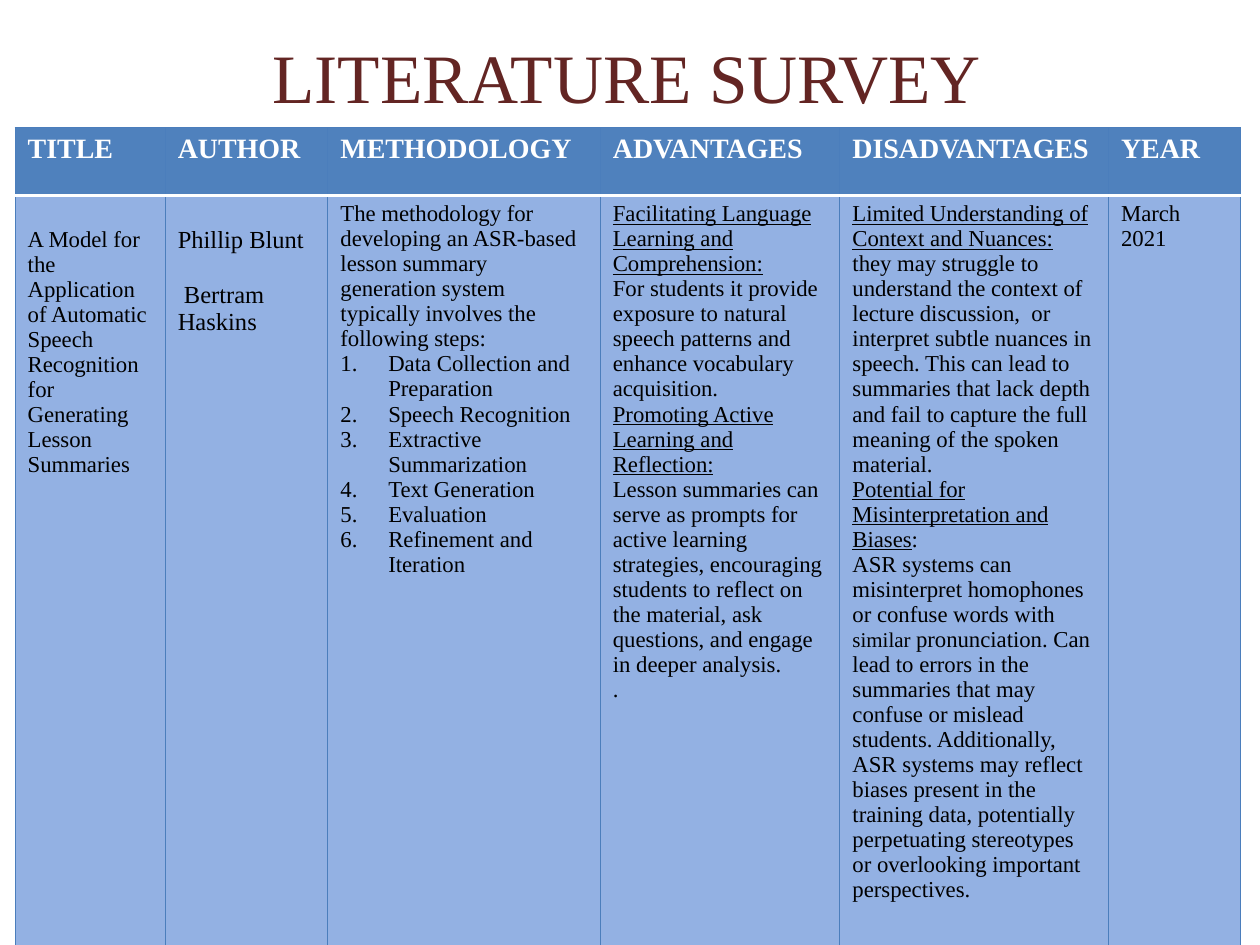
from lxml.etree import SubElement
from pptx import Presentation
from pptx.dml.color import RGBColor
from pptx.enum.text import MSO_ANCHOR, PP_ALIGN
from pptx.oxml.ns import qn
from pptx.util import Inches, Pt

WIDE, HIGH = Inches(10), Inches(7.5)
FACE = "Times New Roman"
BLUE, PALE, EDGE = "4F81BD", "93B1E3", "4B7EBC"
HEAD = {"size": Pt(16), "bold": True}
BODY = {"size": Pt(13), "bold": False}
NAME = {"size": Pt(14), "bold": False}
LINE = {"underline": True}
COLS = (0.119, 0.129, 0.216, 0.19, 0.213, 0.105)
ROWS = (0.072, 0.794)
HEADS = ("TITLE", "AUTHOR", "METHODOLOGY", "ADVANTAGES", "DISADVANTAGES", "YEAR")
TOPIC = ["A Model for the Application of Automatic Speech Recognition for Generating Lesson Summaries"]
NAMES = ["Phillip Blunt", " Bertram Haskins"]
INTRO = ("The methodology for developing an ASR-based lesson summary generation system "
         "typically involves the following steps:")
STEPS = ["Data Collection and Preparation", "Speech Recognition", "Extractive Summarization",
         "Text Generation", "Evaluation", "Refinement and Iteration"]
PROS = [
    [("Facilitating Language Learning and Comprehension:", LINE)],
    "For students it provide exposure to natural speech patterns and enhance vocabulary acquisition.",
    [("Promoting Active Learning and Reflection:", LINE)],
    "Lesson summaries can serve as prompts for active learning strategies, encouraging students "
    "to reflect on the material, ask questions, and engage in deeper analysis.",
    ".",
]
CONS = [
    [("Limited Understanding of Context and Nuances:", LINE)],
    "they may struggle to understand the context of lecture discussion,  or interpret subtle "
    "nuances in speech. This can lead to summaries that lack depth and fail to capture the full "
    "meaning of the spoken material.",
    [("Potential for Misinterpretation and Biases", LINE), (":", {})],
    [("ASR systems can misinterpret homophones or confuse words with ", {}),
     ("similar ", {"size": Pt(12)}),
     ("pronunciation. Can lead to errors in the summaries that may confuse or mislead students. "
      "Additionally, ASR systems may reflect biases present in the training data, potentially "
      "perpetuating stereotypes or overlooking important perspectives.", {})],
]


def tint(code):
    """Turn a hex string into a colour."""
    return RGBColor.from_string(code)


def write(para, runs, style, code):
    """Fill a paragraph with a string or a list of styled runs."""
    for text, extra in [(runs, {})] if isinstance(runs, str) else runs:
        run = para.add_run()
        run.text = text
        for key, value in {"name": FACE, **style, **extra}.items():
            setattr(run.font, key, value)
        run.font.color.rgb = tint(code)


def fill(cell, paras, style, code, back):
    """Write paragraphs into a cell and colour it."""
    cell.fill.solid()
    cell.fill.fore_color.rgb = tint(back)
    frame = cell.text_frame
    for index, runs in enumerate(paras):
        write(frame.add_paragraph() if index else frame.paragraphs[0], runs, style, code)


def rule(cell, sides):
    """Draw the cell borders given as side, colour and points."""
    props = cell._tc.get_or_add_tcPr()
    for index, (side, (code, size)) in enumerate(sides.items()):
        line = SubElement(props, qn(f"a:ln{side}"), w=str(Pt(size)))
        SubElement(SubElement(line, qn("a:solidFill")), qn("a:srgbClr"), val=code)
        props.insert(index, line)


def number(para):
    """Give a paragraph an automatic number and a hanging indent."""
    props = para._p.get_or_add_pPr()
    for key, value in {"marL": Inches(0.38), "indent": -Inches(0.38)}.items():
        props.set(key, str(value))
    SubElement(props, qn("a:buFont"), typeface="+mj-lt")
    SubElement(props, qn("a:buAutoNum"), type="arabicPeriod")


def title(slide, left, top, width, height):
    """Place the heading in its box."""
    frame = slide.shapes.add_textbox(left, top, width, height).text_frame
    for key, value in {"word_wrap": True, "vertical_anchor": MSO_ANCHOR.MIDDLE}.items():
        setattr(frame, key, value)
    para = frame.paragraphs[0]
    para.alignment = PP_ALIGN.CENTER
    write(para, "LITERATURE SURVEY", {"size": Pt(39.6)}, "632523")


def survey(slide, left, top, width, height):
    """Place the survey table in its box."""
    table = slide.shapes.add_table(2, len(COLS), left, top, width, height).table
    for col, share in zip(table.columns, COLS):
        col.width = int(width * share / sum(COLS))
    for row, share in zip(table.rows, ROWS):
        row.height = int(height * share / sum(ROWS))
    thin, thick = (EDGE, 0.75), ("FFFFFF", 2)
    bodies = (TOPIC, NAMES, [INTRO, *STEPS], PROS, CONS, ["March 2021"])
    for col, (head, body) in enumerate(zip(HEADS, bodies)):
        upper, lower = table.cell(0, col), table.cell(1, col)
        fill(upper, [head], HEAD, "FFFFFF", BLUE)
        fill(lower, body, NAME if body is NAMES else BODY, "000000", PALE)
        rule(upper, {"L": thin, "R": thin, "T": thin, "B": thick})
        rule(lower, {"L": thin, "R": thin, "T": thick, "B": thin})
    for col in range(2):
        table.cell(1, col).margin_top = Inches(0.25)
    table.cell(1, 1).text_frame.paragraphs[1].space_before = Pt(15.5)
    for para in table.cell(1, 2).text_frame.paragraphs[1:]:
        number(para)


def main():
    """Build the slide and save it."""
    deck = Presentation()
    deck.slide_width, deck.slide_height = WIDE, HIGH
    slide = deck.slides.add_slide(deck.slide_layouts[6])
    title(slide, int(WIDE * 0.1), int(HIGH * 0.04), int(WIDE * 0.795), int(HIGH * 0.08))
    survey(slide, int(WIDE * 0.012), int(HIGH * 0.135), int(WIDE * 0.973), int(HIGH * 0.865))
    deck.save("out.pptx")


if __name__ == "__main__":
    main()
